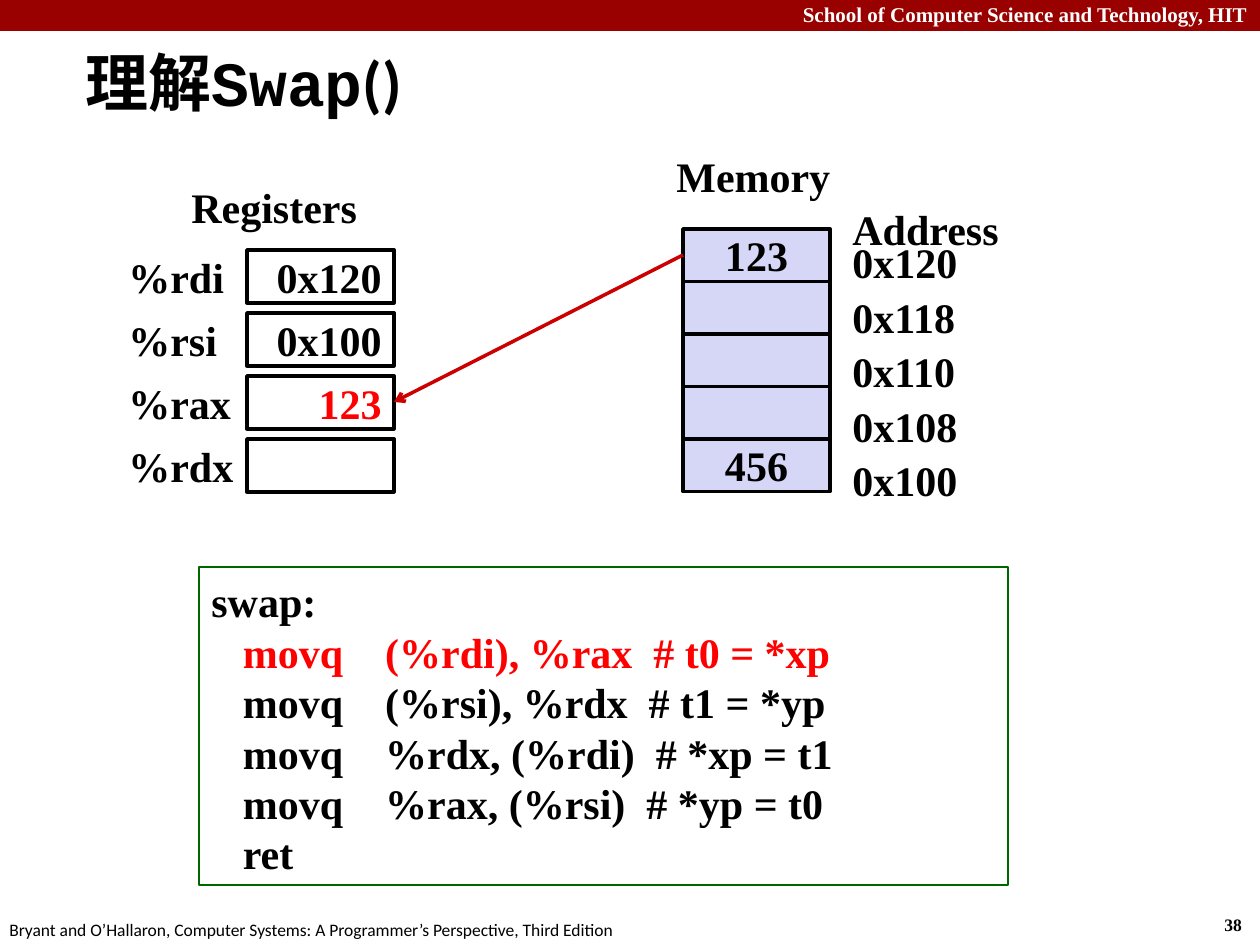
from pptx import Presentation
from pptx.dml.color import RGBColor
from pptx.enum.shapes import MSO_CONNECTOR as CONN, MSO_SHAPE as SHAPE
from pptx.enum.text import MSO_ANCHOR as ANCHOR, PP_ALIGN as ALIGN
from pptx.oxml.ns import qn
from pptx.util import Pt
from lxml.etree import SubElement

PX = 914400 / 126
BLACK = RGBColor(0, 0, 0)
WHITE = RGBColor(255, 255, 255)
RED = RGBColor(255, 0, 0)
ARROW_RED = RGBColor(204, 0, 0)
BANNER_RED = RGBColor(153, 0, 0)
GREEN = RGBColor(0, 102, 0)
LILAC = RGBColor(214, 214, 246)
SERIF = "Times New Roman"
SANS = "Calibri"
MONO = "Courier New"


def px(n):
    return round(n * PX)


def add_run(p, text, size=24, font=SERIF, color=BLACK, bold=True):
    r = p.add_run()
    r.text = text
    f = r.font
    f.size, f.name, f.bold = Pt(size), font, bold
    f.color.rgb = color


def set_frame(sp, anchor, align, top=6):
    tf = sp.text_frame
    tf.word_wrap = True
    tf.vertical_anchor = anchor
    tf.margin_top = px(top)
    if align == ALIGN.LEFT:
        tf.margin_right = 0
    p = tf.paragraphs[0]
    p.alignment = align
    return p


def add_text(s, box, text, align=ALIGN.LEFT, top=6, **style):
    sp = s.shapes.add_textbox(*map(px, box))
    add_run(set_frame(sp, ANCHOR.TOP, align, top), text, **style)


def add_box(s, box, text="", fill=None, line=None, width=2,
            align=ALIGN.LEFT, color=BLACK):
    sp = s.shapes.add_shape(SHAPE.RECTANGLE, *map(px, box))
    sp.shadow.inherit = False
    if fill is None:
        sp.fill.background()
    else:
        sp.fill.solid()
        sp.fill.fore_color.rgb = fill
    if line is None:
        sp.line.fill.background()
    else:
        sp.line.color.rgb = line
        sp.line.width = Pt(width)
    p = set_frame(sp, ANCHOR.MIDDLE, align)
    if text:
        add_run(p, text, color=color)
    return sp


def add_frame(s, w, h):
    add_box(s, (0, 0, w, 31), fill=BANNER_RED)
    add_text(s, (0, -4, w, 38), "School of Computer Science and Technology, HIT",
             ALIGN.RIGHT, size=12, color=WHITE)
    add_text(s, (1212, h - 37, 47, 34), "38", size=10)
    add_text(s, (-3, h - 32, 640, 34),
             "Bryant and O’Hallaron, Computer Systems: "
             "A Programmer’s Perspective, Third Edition",
             size=10, font=SANS, bold=False)


def add_title(s, box):
    sp = s.shapes.add_textbox(*map(px, box))
    p = set_frame(sp, ANCHOR.MIDDLE, ALIGN.LEFT)
    for text, font in (("理解", SANS), ("Swap", MONO), ("()", SANS)):
        add_run(p, text, size=36, font=font)


def add_memory(s, x, y):
    cell_w, cell_h = 147, 52.5
    add_text(s, (x - 19, y - 87, 180, 63), "Memory", top=9)
    for i, value in enumerate(("123", "", "", "", "456")):
        add_box(s, (x, y + i * cell_h, cell_w, cell_h), value,
                LILAC, BLACK, align=ALIGN.CENTER)
    addr_x = x + 157
    for i, addr in enumerate(("0x120", "0x118", "0x110", "0x108", "0x100")):
        add_text(s, (addr_x, y - 1 + i * 54.5, 231, 63), addr, top=9)
    add_text(s, (addr_x, y - 34, 231, 115), "Address", top=9)


def add_registers(s, x, y):
    add_text(s, (x + 63, y - 77, 193, 63), "Registers", top=9)
    rows = (("%rdi", "0x120", BLACK), ("%rsi", "0x100", BLACK),
            ("%rax", "123", RED), ("%rdx", "", BLACK))
    for i, (name, value, color) in enumerate(rows):
        top = y + i * 63
        add_box(s, (x, top, 132, 53), name, WHITE)
        add_box(s, (x + 131, top, 147, 53), value, WHITE, BLACK,
                align=ALIGN.RIGHT, color=color)


def add_arrow(s, x1, y1, x2, y2):
    c = s.shapes.add_connector(CONN.STRAIGHT, *map(px, (x1, y1, x2, y2)))
    c.line.color.rgb = ARROW_RED
    c.line.width = Pt(2)
    SubElement(c.line._get_or_add_ln(), qn("a:tailEnd"), type="arrow")
    SubElement(c._element.spPr, qn("a:effectLst"))


def add_code(s, box):
    sp = add_box(s, box, line=GREEN, width=1)
    tf = sp.text_frame
    set_frame(sp, ANCHOR.TOP, ALIGN.LEFT, top=9)
    lines = (
        ("swap:", BLACK),
        ("   movq    (%rdi), %rax  # t0 = *xp", RED),
        ("   movq    (%rsi), %rdx  # t1 = *yp", BLACK),
        ("   movq    %rdx, (%rdi)  # *xp = t1", BLACK),
        ("   movq    %rax, (%rsi)  # *yp = t0", BLACK),
        ("   ret", BLACK),
    )
    for i, (text, color) in enumerate(lines):
        p = tf.add_paragraph() if i else tf.paragraphs[0]
        p.alignment = ALIGN.LEFT
        p.line_spacing = Pt(28.8)
        add_run(p, text, color=color)


def main():
    prs = Presentation()
    prs.slide_width, prs.slide_height = px(1260), px(945)
    s = prs.slides.add_slide(prs.slide_layouts[6])
    add_frame(s, 1260, 945)
    add_title(s, (73, 42, 878, 79))
    add_memory(s, 683, 229)
    add_registers(s, 116, 250)
    add_arrow(s, 683, 255, 394, 402)
    add_code(s, (199, 567, 809, 318))
    prs.save("out.pptx")


if __name__ == "__main__":
    main()
